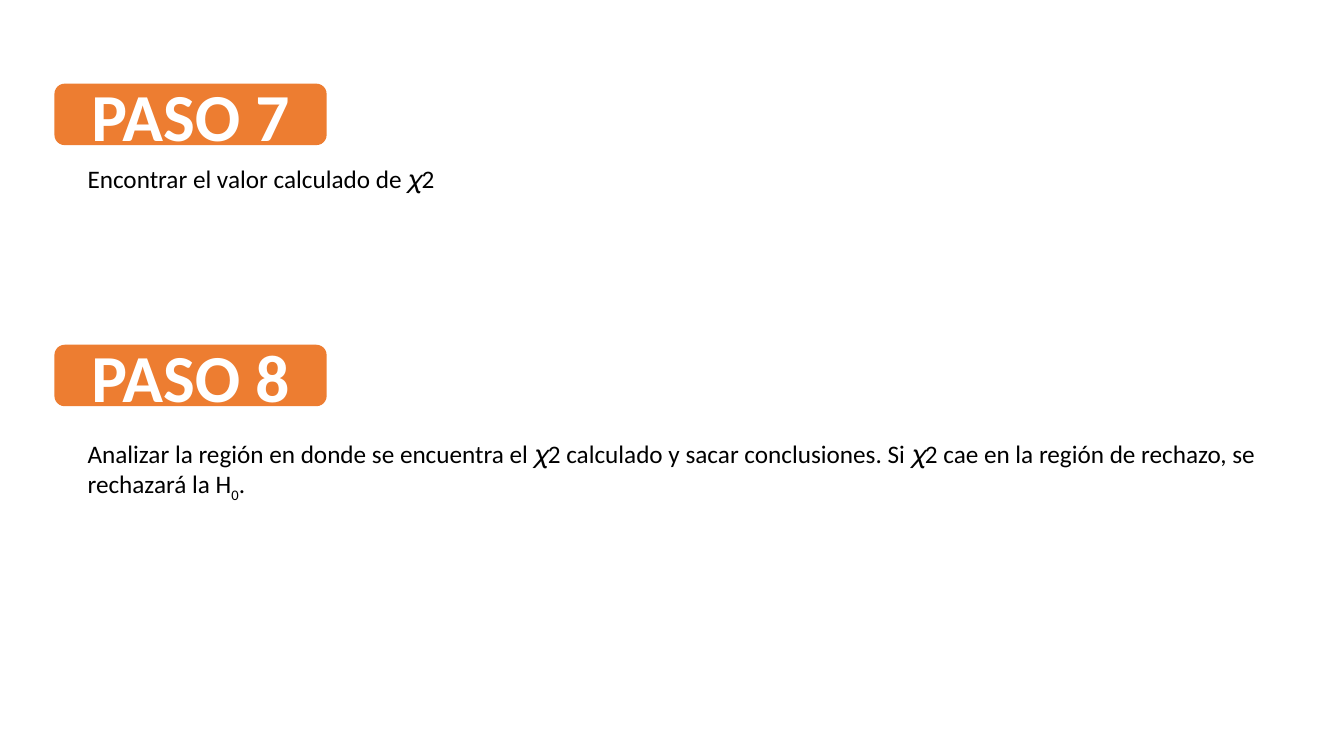
"""Build the slide with steps 7 and 8 of the chi-square test."""
from pptx import Presentation
from pptx.dml.color import RGBColor
from pptx.enum.shapes import MSO_SHAPE as Shape
from pptx.enum.text import MSO_ANCHOR as Anchor, MSO_AUTO_SIZE as AutoSize, PP_ALIGN as Align
from pptx.util import Inches, Pt

COLORS = {"banner": "ED7D31", "banner_text": "FFFFFF", "body": "000000"}


class StepSlide:
    font_name = "Calibri"

    def __init__(self, page):
        self.page = page

    def add_span(self, para, text, size, color, bold=False, subscript=False):
        span = para.add_run()
        span.text = text
        span.font.name = self.font_name
        span.font.size = Pt(size)
        span.font.bold = bold
        span.font.color.rgb = RGBColor.from_string(COLORS[color])
        if subscript:
            span.font._element.set("baseline", "-25000")

    def add_banner(self, text, top):
        banner = self.page.shapes.add_shape(
            Shape.ROUNDED_RECTANGLE, Inches(0.54), Inches(top), Inches(2.7), Inches(0.61))
        banner.shadow.inherit = False
        banner.fill.solid()
        banner.fill.fore_color.rgb = RGBColor.from_string(COLORS["banner"])
        banner.line.fill.background()
        frame = banner.text_frame
        frame.vertical_anchor = Anchor.MIDDLE
        para = frame.paragraphs[0]
        para.alignment = Align.CENTER
        self.add_span(para, text, 48, "banner_text", bold=True)

    def add_body(self, spans, top, width, height):
        box = self.page.shapes.add_textbox(
            Inches(0.77), Inches(top), Inches(width), Inches(height))
        frame = box.text_frame
        frame.word_wrap = True
        frame.auto_size = AutoSize.SHAPE_TO_FIT_TEXT
        for text, subscript in spans:
            self.add_span(frame.paragraphs[0], text, 18, "body", subscript=subscript)


def main():
    deck = Presentation()
    deck.slide_width = Inches(13.33)
    deck.slide_height = Inches(7.5)
    slide = StepSlide(deck.slides.add_slide(deck.slide_layouts[6]))

    slide.add_banner("PASO 7", 0.83)
    slide.add_banner("PASO 8", 3.42)
    slide.add_body([("Encontrar el valor calculado de 𝜒2", False)], 1.57, 6.67, 0.4)
    conclusion = [
        ("Analizar la región en donde se encuentra el 𝜒2 calculado y sacar conclusiones. "
         "Si 𝜒2 cae en la región de rechazo, se rechazará la H", False),
        ("0", True),
        (".", False),
    ]
    slide.add_body(conclusion, 4.3, 11.98, 0.71)
    deck.save("out.pptx")


if __name__ == "__main__":
    main()
